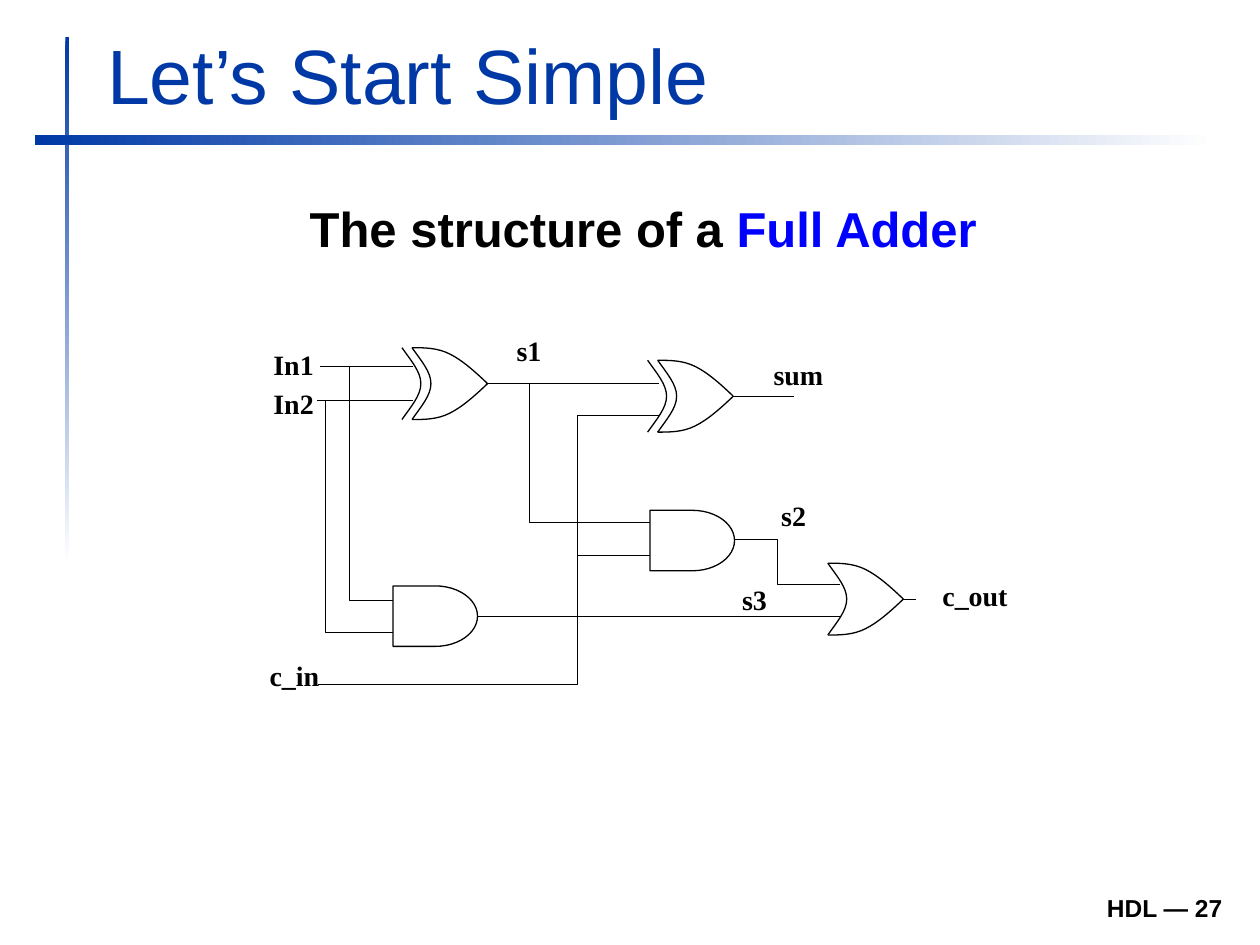
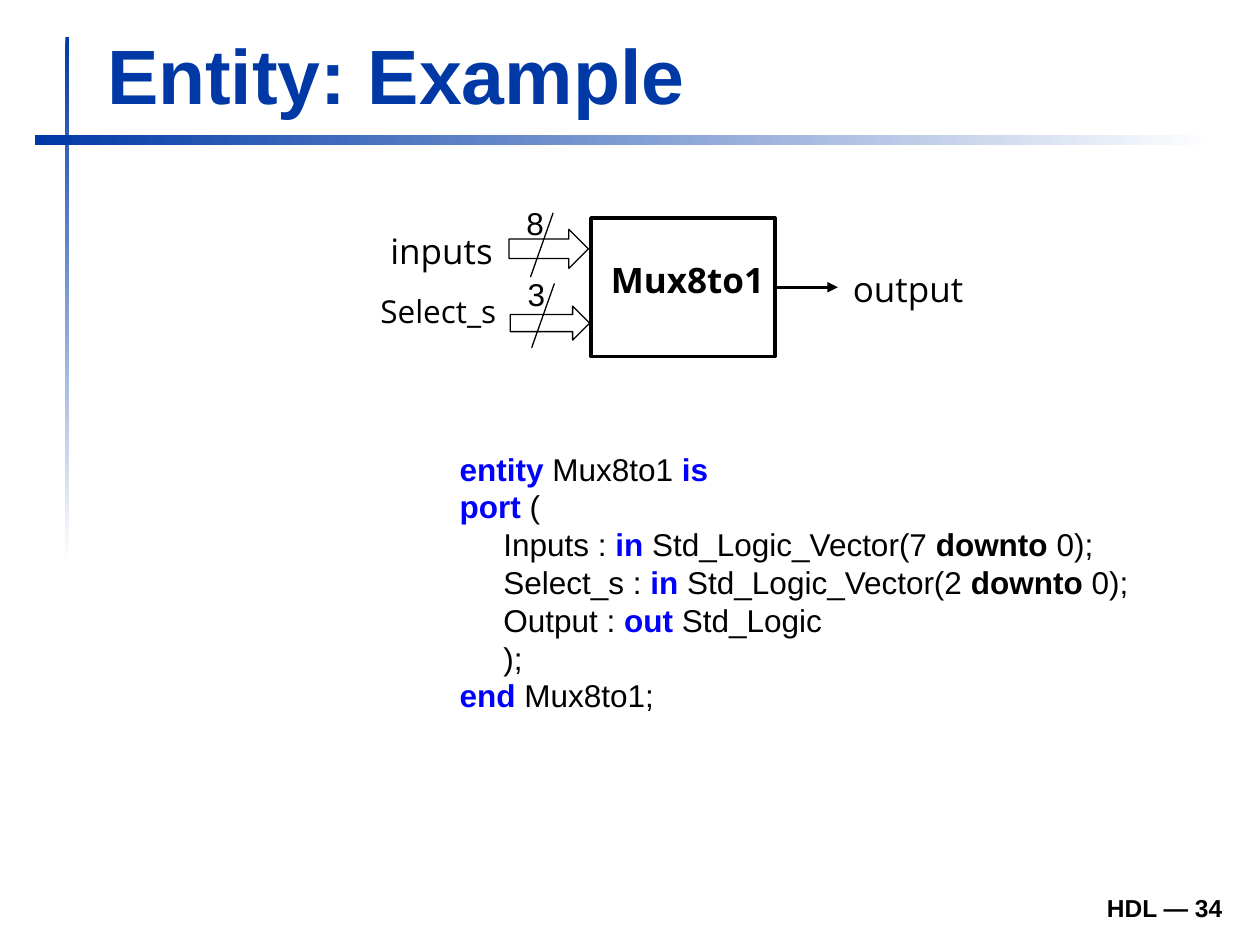
from lxml.etree import SubElement as Sub
from pptx import Presentation
from pptx.dml.color import RGBColor
from pptx.enum.shapes import MSO_CONNECTOR as Link, MSO_SHAPE as Kind
from pptx.enum.text import MSO_ANCHOR as Anchor, MSO_AUTO_SIZE as Auto, PP_ALIGN as Align
from pptx.oxml.ns import qn
from pptx.util import Inches, Pt

NAVY, BLUE, BLACK, WHITE = "0039A6", "0000FF", "000000", "FFFFFF"
SANS, OPEN, SERIF = "Arial", "Open Sans", "Times New Roman"
THIN, EDGE, THICK = 0.5, 0.75, 2
GATE_W, GATE_H = 0.6, 0.57
BACK = [(0, 0), (0.07, 0.1), (0.15, 0.19), (0.15, GATE_H / 2),
        (0.15, 0.38), (0.07, 0.47), (0, GATE_H)]
BROW = [(0, 0), (0.1, 0), (0.2, 0), (0.3, 0.05),
        (0.4, 0.1), (0.5, 0.19), (GATE_W, GATE_H / 2)]
CHIN = [(px, GATE_H - py) for px, py in BROW]


def rgb(code):
    """Turn a hex string into a colour."""
    return RGBColor.from_string(code)


def inch(*nums):
    """Turn numbers into lengths in inches."""
    return [Inches(n) for n in nums]


def style(run, font, size, color=BLACK, bold=False):
    """Format one run."""
    run.font.name, run.font.size, run.font.bold = font, Pt(size), bold
    run.font.color.rgb = rgb(color)


def text(slide, box, lines, font, size, pad=True, wrap=False, align=Align.LEFT, anchor=Anchor.TOP):
    """Add a text box of lines, each a list of (words, color, bold) runs."""
    frame = slide.shapes.add_textbox(*inch(*box)).text_frame
    frame.word_wrap, frame.vertical_anchor = wrap, anchor
    if not wrap:
        frame.auto_size = Auto.SHAPE_TO_FIT_TEXT
    if not pad:
        frame.margin_left = frame.margin_right = frame.margin_top = frame.margin_bottom = 0
    para = frame.paragraphs[0]
    para.alignment = align
    for i, line in enumerate(lines):
        if i:
            para.add_line_break()
        for words, color, bold in line:
            run = para.add_run()
            run.text = words
            style(run, font, size, color, bold)


def outline(shape, width, fill=None):
    """Give a shape a black line and a plain fill or none."""
    shape.shadow.inherit = False
    shape.line.color.rgb, shape.line.width = rgb(BLACK), Pt(width)
    if fill:
        shape.fill.solid()
        shape.fill.fore_color.rgb = rgb(fill)
    else:
        shape.fill.background()


def block(slide, kind, box, width, fill=None):
    """Add an outlined preset shape."""
    shape = slide.shapes.add_shape(kind, *inch(*box))
    outline(shape, width, fill)
    return shape


def trace(shapes, points, width, fill=None):
    """Draw an open outline through points."""
    dots = [inch(*p) for p in points]
    form = shapes.build_freeform(*dots[0], scale=1.0)
    form.add_line_segments(dots[1:], close=False)
    shape = form.convert_to_shape()
    outline(shape, width, fill)
    return shape


def curve(shapes, points, fill=None):
    """Draw a chain of cubic curves through control points."""
    shape = trace(shapes, points, EDGE, fill)
    track = next(shape._element.iter(qn("a:path")))
    legs = track.findall(qn("a:lnTo"))
    for i in range(0, len(legs), 3):
        cubic = Sub(track, qn("a:cubicBezTo"))
        for leg in legs[i:i + 3]:
            cubic.append(leg[0])
            track.remove(leg)


def wire(slide, start, end, width=THIN, source=None, arrow=False):
    """Draw a straight line, joined to the right side of source if given."""
    line = slide.shapes.add_connector(Link.STRAIGHT, *inch(*start, *end))
    if source:
        line.begin_connect(source, 3)
    line.line.color.rgb, line.line.width = rgb(BLACK), Pt(width)
    if arrow:
        Sub(line.line._get_or_add_ln(), qn("a:tailEnd"), type="triangle")
    Sub(line._element.spPr, qn("a:effectLst"))


def shift(points, x, y):
    """Move points by x and y."""
    return [(x + px, y + py) for px, py in points]


def gate(slide, x, y, xor=False):
    """Draw an OR gate, or an unfilled XOR gate with a second back arc."""
    shapes = slide.shapes.add_group_shape().shapes
    for arc in (BACK, BROW, CHIN):
        curve(shapes, shift(arc, x, y), None if xor else WHITE)
    if xor:
        curve(shapes, shift(BACK, x - 0.08, y))


def band(slide, box, angle):
    """Add a bar that fades from navy to white."""
    bar = slide.shapes.add_shape(Kind.RECTANGLE, *inch(*box))
    bar.shadow.inherit = False
    bar.line.fill.background()
    bar.fill.gradient()
    bar.fill.gradient_angle = angle
    for stop, color, place in zip(bar.fill.gradient_stops, (NAVY, WHITE), (0, 1)):
        stop.color.rgb, stop.position = rgb(color), place


def page(deck, title, number, bold=False):
    """Add a slide with bands, title and footer."""
    slide = deck.slides.add_slide(deck.slide_layouts[5])
    band(slide, (0.52, 0.29, 0.03, 4.17), 270)
    band(slide, (0.28, 1.07, 9.37, 0.08), 0)
    head = slide.shapes.title
    head.left, head.top, head.width, head.height = inch(0.75, 0.17, 9.03, 0.83)
    frame = head.text_frame
    frame.auto_size, frame.vertical_anchor = Auto.NONE, Anchor.BOTTOM
    para = frame.paragraphs[0]
    para.alignment = Align.LEFT
    run = para.add_run()
    run.text = title
    style(run, SANS, 44, NAVY, bold)
    text(slide, (8.62, 6.98, 1.18, 0.39), [[(f"HDL — {number}", BLACK, True)]],
         SANS, 14, wrap=True, align=Align.RIGHT, anchor=Anchor.BOTTOM)
    return slide


def adder(slide, x, y):
    """Draw the full adder circuit from its top left corner."""
    gate(slide, x + 4.57, y + 1.97)
    for points in (
        [(0.52, 2.93), (2.58, 2.93), (2.58, 0.8), (3.23, 0.8)],
        [(3.19, 1.65), (2.2, 1.65), (2.2, 0.54)],
        [(3.83, 1.78), (4.17, 1.78), (4.17, 2.14), (4.67, 2.14)],
        [(0.58, 0.68), (0.58, 2.52), (1.13, 2.52)],
        [(0.77, 0.41), (0.77, 2.27), (1.13, 2.27)],
    ):
        trace(slide.shapes, shift(points, x, y), THIN)
    for ends in (
        [(5.16, 2.26), (5.27, 2.26)],
        [(1.86, 0.54), (3.23, 0.54)],
        [(3.2, 1.91), (2.59, 1.91)],
        [(1.28, 0.41), (0.54, 0.41)],
        [(1.28, 0.68), (0.52, 0.68)],
        [(3.82, 0.65), (4.3, 0.65)],
    ):
        wire(slide, *shift(ends, x, y))
    low, _ = [block(slide, Kind.FLOWCHART_DELAY, (x + dx, y + dy, 0.67, 0.48), EDGE, WHITE)
              for dx, dy in ((1.12, 2.15), (3.16, 1.55))]
    wire(slide, (x + 1.79, y + 2.39), (x + 4.67, y + 2.39), source=low)
    gate(slide, x + 1.27, y + 0.26, xor=True)
    gate(slide, x + 3.22, y + 0.36, xor=True)
    for name, dx, dy, width in (
        ("In1", 0.17, 0.26, 0.33), ("In2", 0.17, 0.57, 0.33), ("c_in", 0.14, 2.73, 0.4),
        ("c_out", 5.48, 2.09, 0.53), ("sum", 4.14, 0.34, 0.4), ("s1", 2.1, 0.15, 0.2),
        ("s3", 3.89, 2.12, 0.2), ("s2", 4.2, 1.46, 0.2),
    ):
        text(slide, (x + dx, y + dy, width, 0.27), [[(name, BLACK, True)]], SERIF, 16, pad=False)


def bus(slide, x, y, height, count, slash, label):
    """Draw a wide input arrow with its slash and bit count."""
    block(slide, Kind.RIGHT_ARROW, (x, y, 0.63, height), EDGE)
    wire(slide, (x + 0.35, y + slash), (x + 0.17, y + slash + 0.51), EDGE)
    text(slide, (x + 0.04, y + label, 0.34, 0.4), [[(count, BLACK, False)]], SANS, 18)


def mux(slide, x, y):
    """Draw the multiplexer with its ports from its top left corner."""
    body = block(slide, Kind.RECTANGLE, (x, y, 1.46, 1.1), THICK)
    wire(slide, (x + 1.46, y + 0.55), (x + 1.96, y + 0.55), THICK, body, arrow=True)
    bus(slide, x - 0.65, y + 0.09, 0.31, "8", -0.13, -0.25)
    bus(slide, x - 0.64, y + 0.7, 0.27, "3", -0.18, -0.3)
    for name, dx, dy, width, size, bold in (
        ("inputs", -1.69, 0.04, 1.02, 20, False),
        ("Select_s", -1.77, 0.54, 1.12, 18, False),
        ("output", 1.98, 0.34, 1.08, 20, False),
        ("Mux8to1", 0.06, 0.27, 1.42, 20, True),
    ):
        text(slide, (x + dx, y + dy, width, 0.43), [[(name, BLACK, bold)]], OPEN, size)


def code(slide, box):
    """Write the entity listing with its keywords marked."""
    def key(words):
        return words, BLUE, True

    def raw(words):
        return words, BLACK, False

    down = ("downto", BLACK, True)
    text(slide, box, [
        [key("entity"), raw(" Mux8to1 "), key("is")],
        [key("port"), raw(" (")],
        [raw("     Inputs : "), key("in"), raw(" Std_Logic_Vector(7 "), down, raw(" 0);")],
        [raw("     Select_s : "), key("in "), raw("Std_Logic_Vector(2 "), down, raw(" 0);")],
        [raw("     Output : "), key("out"), raw(" Std_Logic")],
        [raw("     );")],
        [key("end "), raw("Mux8to1;")],
    ], SANS, 18, wrap=True)


def main():
    """Build both slides and save them."""
    deck = Presentation()
    deck.slide_width, deck.slide_height = inch(10, 7.5)
    first = page(deck, "Let’s Start Simple", 27)
    text(first, (2.36, 1.53, 5.51, 0.57),
         [[("The structure of a ", BLACK, True), ("Full Adder", BLUE, True)]], SANS, 28)
    adder(first, 2, 2.5)
    second = page(deck, "Entity: Example", 34, bold=True)
    mux(second, 4.69, 1.73)
    code(second, (3.55, 3.52, 5.66, 2.2))
    deck.save("out.pptx")


if __name__ == "__main__":
    main()
